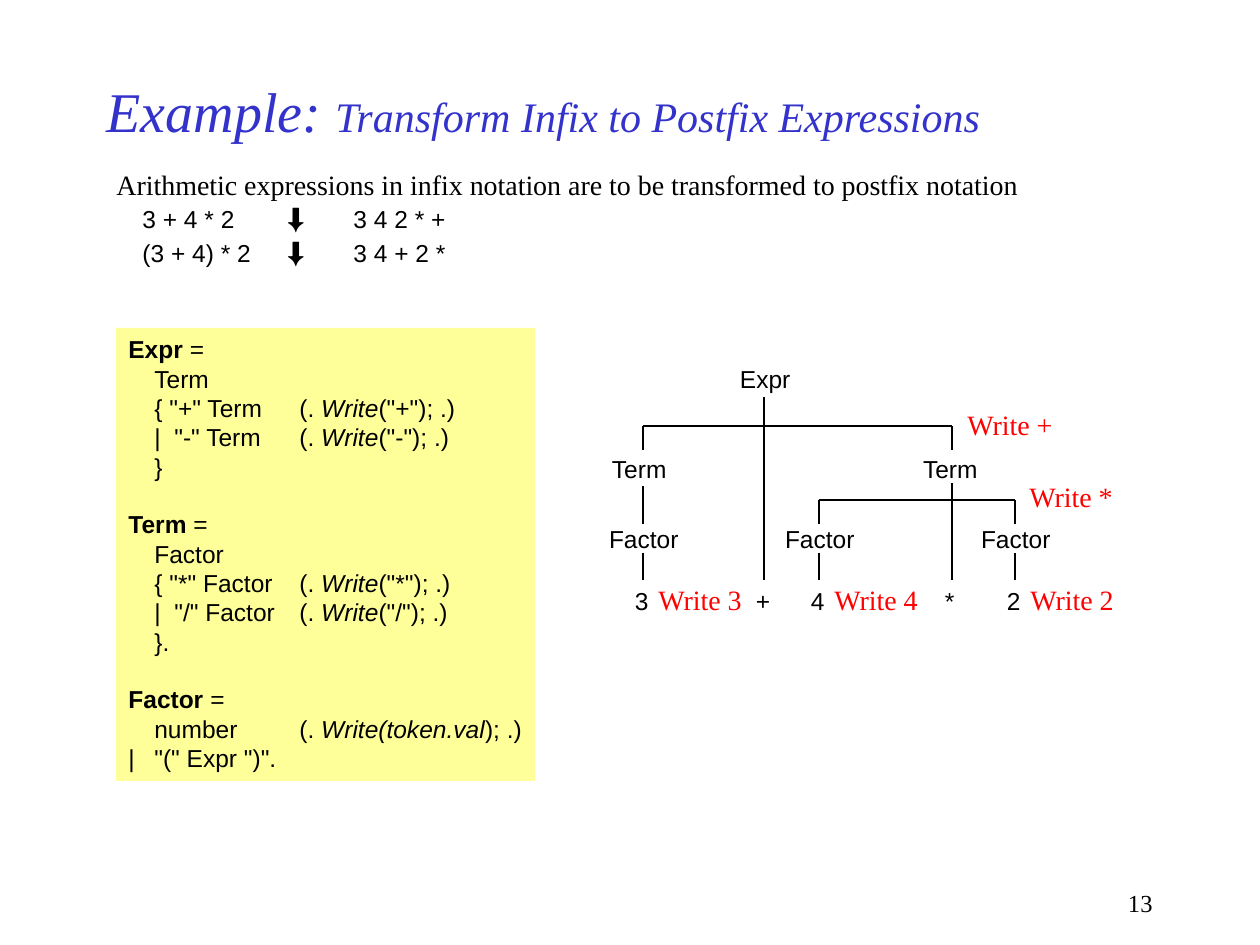
from dataclasses import dataclass
from typing import Any, NamedTuple, Optional

from lxml.etree import SubElement
from pptx import Presentation
from pptx.dml.color import RGBColor
from pptx.enum.shapes import MSO_CONNECTOR, MSO_SHAPE
from pptx.enum.text import MSO_ANCHOR as Anchor, MSO_AUTO_SIZE as AutoSize, PP_ALIGN as Align
from pptx.oxml.ns import qn
from pptx.util import Emu, Pt

PX = 914400 / 126
TOP, BOTTOM = 0, 2  # connection sites of a rectangle


class Style(NamedTuple):
    font: str
    size: int
    color: str = "000000"
    bold: bool = False
    italic: bool = False


@dataclass(frozen=True)
class Theme:
    box_fill: str = "FFFF99"
    line: str = "000000"
    line_width: float = 0.75
    title: Style = Style("Times New Roman", 32, "3333CC", italic=True)
    subtitle: Style = Style("Times New Roman", 24, "3333CC", italic=True)
    prose: Style = Style("Times New Roman", 16)
    arrow: Style = Style("Roboto", 16)
    code: Style = Style("Arial", 14)
    keyword: Style = Style("Arial", 14, bold=True)
    call: Style = Style("Arial", 14, italic=True)
    action: Style = Style("Times New Roman", 16, "FF0000")
    number: Style = Style("Times New Roman", 14)


class Box(NamedTuple):
    left: int
    top: int
    width: int
    height: int


class Run(NamedTuple):
    text: str
    style: Style


class Line(NamedTuple):
    runs: list[Run]
    space_before: int = 0


THEME = Theme()
TAB_STOPS = (26, 171, 237)
FRAME = {"word_wrap": False, "vertical_anchor": Anchor.TOP, "auto_size": AutoSize.NONE}
NO_MARGINS = dict.fromkeys(("margin_left", "margin_top", "margin_right", "margin_bottom"), 0)


def emu(px: float) -> Emu:
    return Emu(round(px * PX))


def set_format(target: Any, values: dict[str, Any]) -> None:
    for name, value in values.items():
        setattr(target, name, value)


def place(box: Box) -> list[Emu]:
    return [emu(length) for length in box]


def add_tab_stops(paragraph) -> None:
    tab_list = SubElement(paragraph._p.get_or_add_pPr(), qn("a:tabLst"))
    for stop in TAB_STOPS:
        SubElement(tab_list, qn("a:tab"), pos=str(emu(stop)), algn="l")


def write(shape, lines: list[Line], frame: Optional[dict] = None,
          align: Align = Align.LEFT, tabs: bool = False) -> None:
    """Fill the shape's text frame with formatted lines."""
    text_frame = shape.text_frame
    set_format(text_frame, FRAME | (frame or {}))
    for index, line in enumerate(lines):
        paragraph = text_frame.add_paragraph() if index else text_frame.paragraphs[0]
        set_format(paragraph, {"alignment": align, "space_before": Pt(line.space_before)})
        if tabs:
            add_tab_stops(paragraph)
        for text, style in line.runs:
            run = paragraph.add_run()
            run.text = text
            set_format(run.font, {"name": style.font, "size": Pt(style.size),
                                  "bold": style.bold, "italic": style.italic})
            run.font.color.rgb = RGBColor.from_string(style.color)


def add_text(slide, box: Box, lines: list[Line], **options):
    shape = slide.shapes.add_textbox(*place(box))
    write(shape, lines, **options)
    return shape


def add_node(slide, text: str, left: int, top: int, width: int):
    return add_text(slide, Box(left, top, width, 29), [Line([Run(text, THEME.code)])],
                    frame=NO_MARGINS)


def add_action(slide, symbol: str, left: int, top: int) -> None:
    add_text(slide, Box(left, top, 110, 47), [Line([Run(f"Write {symbol}", THEME.action)])])


def add_line(slide, start: tuple[int, int], end: tuple[int, int], node=None, site: int = BOTTOM) -> None:
    """Draw a tree edge, its start joined to the node if one is given."""
    connector = slide.shapes.add_connector(
        MSO_CONNECTOR.STRAIGHT, *(emu(value) for value in start + end))
    if node is not None:
        connector.begin_connect(node, site)
    connector.line.color.rgb = RGBColor.from_string(THEME.line)
    connector.line.width = Pt(THEME.line_width)
    SubElement(connector._element.spPr, qn("a:effectLst"))


def transformation(infix: str, postfix: str) -> Line:
    return Line([Run("\t", THEME.prose), Run(infix, THEME.code), Run("\t", THEME.prose),
                 Run("⬇\t", THEME.arrow), Run(postfix, THEME.code)])


def head(name: str, space_before: int = 0) -> Line:
    return Line([Run(name, THEME.keyword), Run(" =", THEME.code)], space_before)


def code(text: str) -> Line:
    return Line([Run(text, THEME.code)])


def semantic(syntax: str, call: str, rest: str) -> Line:
    return Line([Run(f"\t{syntax}\t(. ", THEME.code), Run(call, THEME.call),
                 Run(f"{rest}; .)", THEME.code)])


def repetition(name: str, operand: str, operators: str, end: str, space_before: int = 0) -> list[Line]:
    """Grammar rule of the form: operand { operator operand }."""
    first, second = (semantic(f'{opening}"{operator}" {operand}', "Write", f'("{operator}")')
                     for opening, operator in zip(("{ ", "|  "), operators))
    return [head(name, space_before), code(f"\t{operand}"), first, second, code(f"\t{end}")]


def add_grammar(slide) -> None:
    shape = slide.shapes.add_shape(MSO_SHAPE.RECTANGLE, *place(Box(116, 328, 419, 453)))
    shape.shadow.inherit = False
    shape.fill.solid()
    shape.fill.fore_color.rgb = RGBColor.from_string(THEME.box_fill)
    shape.line.fill.background()
    write(shape, [
        *repetition("Expr", "Term", "+-", "}"),
        *repetition("Term", "Factor", "*/", "}.", 16),
        head("Factor", 16),
        semantic("number", "Write(token.val", ")"),
        code('|\t"(" Expr ")".'),
    ], tabs=True)


def add_tree(slide) -> None:
    first, second, third = 643, 819, 1015
    plus, times = 764, 952
    term_bar, factor_bar, leaf_line, leaf_top = 426, 500, 580, 586

    add_node(slide, "Expr", 740, 364, 50)
    add_node(slide, "Term", 612, 454, 58)
    product = add_node(slide, "Term", times - 29, 454, 58)
    add_node(slide, "+", plus - 8, leaf_top, 14)
    add_node(slide, "*", times - 7, leaf_top, 10)

    factors = {}
    for center, digit in ((first, "3"), (second, "4"), (third, "2")):
        factors[center] = add_node(slide, "Factor", center - 34, 524, 68)
        add_node(slide, digit, center - 8, leaf_top, 14)
        add_line(slide, (center, 553), (center, leaf_line), factors[center])
        add_action(slide, digit, center + 3, 576)

    add_line(slide, (plus, 397), (plus, leaf_line))
    add_line(slide, (times, 483), (times, leaf_line), product)
    add_line(slide, (first, term_bar), (times, term_bar))
    add_line(slide, (second, factor_bar), (third, factor_bar))
    for center in (first, times):
        add_line(slide, (center, term_bar), (center, 450))
    for center in (second, third):
        add_line(slide, (center, 524), (center, factor_bar), factors[center], TOP)
    add_line(slide, (first, 524), (first, 486), factors[first], TOP)

    add_action(slide, "*", 1017, 473)
    add_action(slide, "+", 955, 401)


def main() -> None:
    presentation = Presentation()
    set_format(presentation, {"slide_width": emu(1260), "slide_height": emu(945)})
    slide = presentation.slides.add_slide(presentation.slide_layouts[5])

    title = slide.shapes.title
    set_format(title, dict(zip(("left", "top", "width", "height"), place(Box(94, 63, 945, 94)))))
    write(title, [Line([Run("Example: ", THEME.title),
                        Run("Transform Infix to Postfix Expressions", THEME.subtitle)])],
          frame={"word_wrap": True, "vertical_anchor": Anchor.MIDDLE})

    add_text(slide, Box(104, 161, 927, 113), [
        Line([Run("Arithmetic expressions in infix notation are to be transformed"
                  " to postfix notation", THEME.prose)]),
        transformation("3 + 4 * 2", "3 4 2 * +"),
        transformation("(3 + 4) * 2", "3 4 + 2 *"),
    ], tabs=True)
    add_grammar(slide)
    add_tree(slide)
    add_text(slide, Box(903, 882, 262, 42), [Line([Run("13", THEME.number)])],
             frame={"word_wrap": True}, align=Align.RIGHT)
    presentation.save("out.pptx")


if __name__ == "__main__":
    main()
